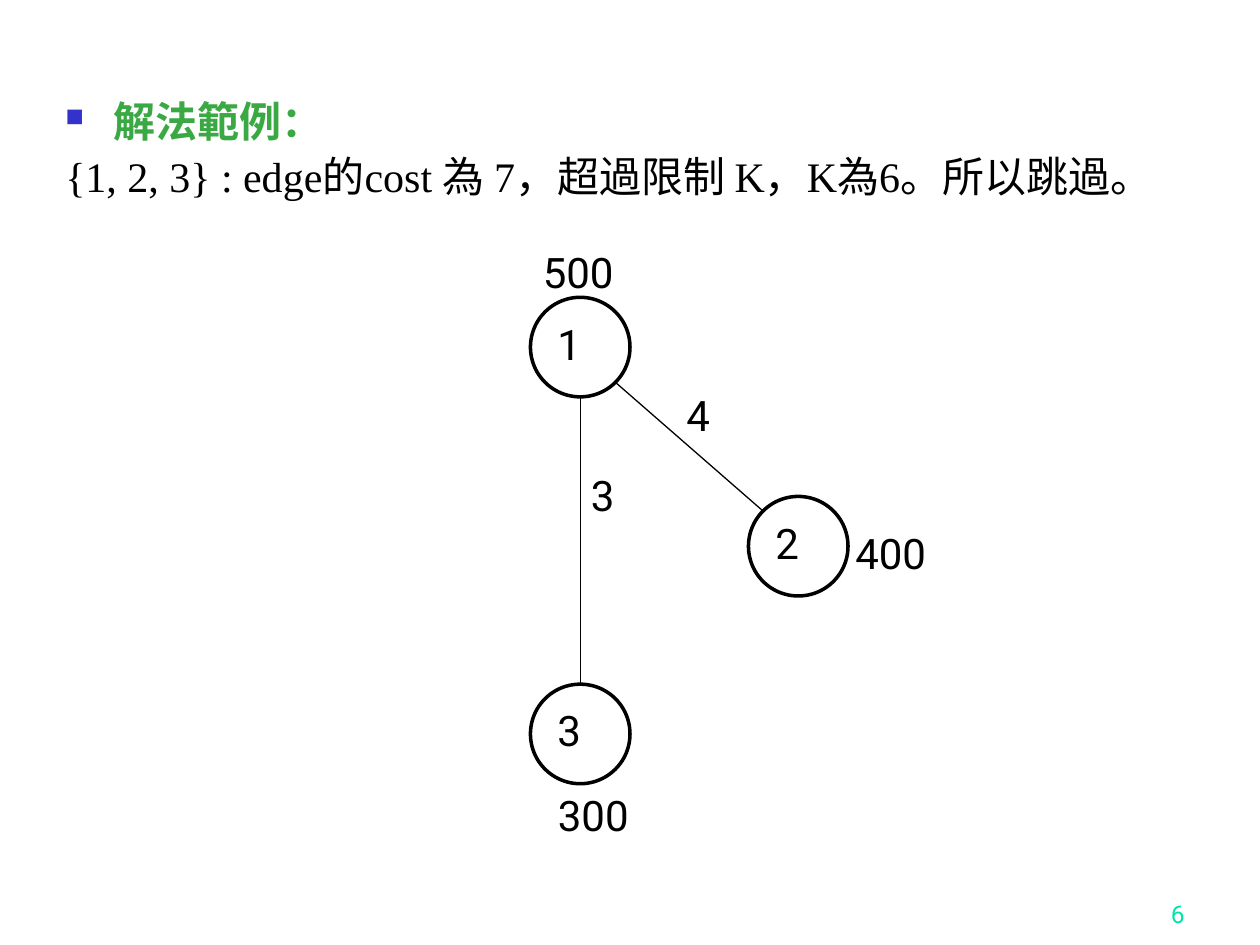
import math

import lxml.etree
import pptx
import pptx.dml.color
import pptx.enum.shapes
import pptx.enum.text
import pptx.oxml.ns
import pptx.util

RGBColor = pptx.dml.color.RGBColor
BLACK = RGBColor(0x00, 0x00, 0x00)
WHITE = RGBColor(0xFF, 0xFF, 0xFF)
GREEN = RGBColor(0x3B, 0xA9, 0x43)
BLUE = RGBColor(0x33, 0x33, 0xCC)
MINT = RGBColor(0x00, 0xE4, 0xA8)

COLS, ROWS = 100, 75  # grid over the whole slide
NODE = 7.9  # node diameter in grid cells
ALIGN = pptx.enum.text.PP_ALIGN
ANCHOR = pptx.enum.text.MSO_ANCHOR


class Sketch:
    """Style and current slide; lengths are grid columns and rows."""

    sans, serif, size = "Roboto", "Times New Roman", 24

    def __init__(self, prs):
        self.slide = prs.slides.add_slide(prs.slide_layouts[6])
        self.col = prs.slide_width / COLS
        self.row = prs.slide_height / ROWS

    def place(self, x, y):
        return round(x * self.col), round(y * self.row)

    def run(self, p, text, font=sans, size=size, color=BLACK, bold=False):
        r = p.add_run()
        r.text = text
        r.font.name, r.font.size = font, pptx.util.Pt(size)
        r.font.color.rgb, r.font.bold = color, bold

    def box(self, x, y, w, h, anchor=ANCHOR.TOP):
        sp = self.slide.shapes.add_textbox(*self.place(x, y), *self.place(w, h))
        tf = sp.text_frame
        tf.word_wrap, tf.vertical_anchor = True, anchor
        return tf

    def label(self, text, x, y, w=10):
        self.run(self.box(x, y, w, 5).paragraphs[0], text)

    def hanging(self, p, bullet=None, color=BLUE):
        """Hanging indent, with an optional coloured bullet."""
        pPr = p._p.get_or_add_pPr()
        indent = pptx.util.Inches(0.38)
        pPr.set("marL", str(indent))
        pPr.set("indent", str(-indent))
        p.line_spacing = 0.9

        def add(parent, tag, **attrs):
            return lxml.etree.SubElement(parent, pptx.oxml.ns.qn(tag), attrs)

        if bullet:
            add(add(pPr, "a:buClr"), "a:srgbClr", val=str(color))
            add(pPr, "a:buSzPct", val="60000")
            add(pPr, "a:buChar", char=bullet)
        else:
            add(pPr, "a:buNone")

    def node(self, text, x, y):
        """Circle with its number; returns its centre."""
        sp = self.slide.shapes.add_shape(
            pptx.enum.shapes.MSO_SHAPE.OVAL, *self.place(x, y), *self.place(NODE, NODE))
        sp.shadow.inherit = False
        sp.fill.solid()
        sp.fill.fore_color.rgb = WHITE
        sp.line.color.rgb, sp.line.width = BLACK, pptx.util.Pt(2)
        tf = sp.text_frame
        tf.vertical_anchor = ANCHOR.TOP
        p = tf.paragraphs[0]
        p.alignment = ALIGN.LEFT
        self.run(p, text)
        return x + NODE / 2, y + NODE / 2

    def edge(self, start, end, degrees):
        """Line between two circles, leaving and arriving at the given angle."""
        dx = NODE / 2 * math.cos(math.radians(degrees))
        dy = NODE / 2 * math.sin(math.radians(degrees))
        c = self.slide.shapes.add_connector(
            pptx.enum.shapes.MSO_CONNECTOR.STRAIGHT,
            *self.place(start[0] + dx, start[1] + dy),
            *self.place(end[0] - dx, end[1] - dy))
        c.line.color.rgb, c.line.width = BLACK, pptx.util.Pt(0.75)
        lxml.etree.SubElement(c._element.spPr, pptx.oxml.ns.qn("a:effectLst"))


def main():
    prs = pptx.Presentation()
    prs.slide_width, prs.slide_height = pptx.util.Inches(10), pptx.util.Inches(7.5)
    s = Sketch(prs)

    # Slide number
    p = s.box(74.2, 69.2, 20.8, 5, ANCHOR.BOTTOM).paragraphs[0]
    p.alignment = ALIGN.RIGHT
    s.run(p, "6", size=14, color=MINT)

    # Heading and explanation
    tf = s.box(4.2, 7.5, 88.3, 61.5)
    p = tf.paragraphs[0]
    s.hanging(p, "■")
    s.run(p, "解法範例：", s.serif, color=GREEN, bold=True)
    p = tf.add_paragraph()
    s.hanging(p)
    p.space_before = pptx.util.Pt(6)
    s.run(p, "{1, 2, 3} : edge的cost 為 7，超過限制 K，K為6。所以跳過。", s.serif)

    # Graph nodes and edges
    one = s.node("1", 42.1, 23.6)
    three = s.node("3", 42.1, 54.3)
    two = s.node("2", 59.4, 39.4)
    s.edge(one, two, 45)
    s.edge(one, three, 90)

    # Node values
    s.label("500", 42.1, 19.1)
    s.label("300", 43.3, 62.2)
    s.label("400", 66.9, 41.4)

    # Edge costs
    s.label("4", 53.5, 30.4)
    s.label("3", 45.9, 36.8, 4.9)

    prs.save("out.pptx")


if __name__ == "__main__":
    main()
